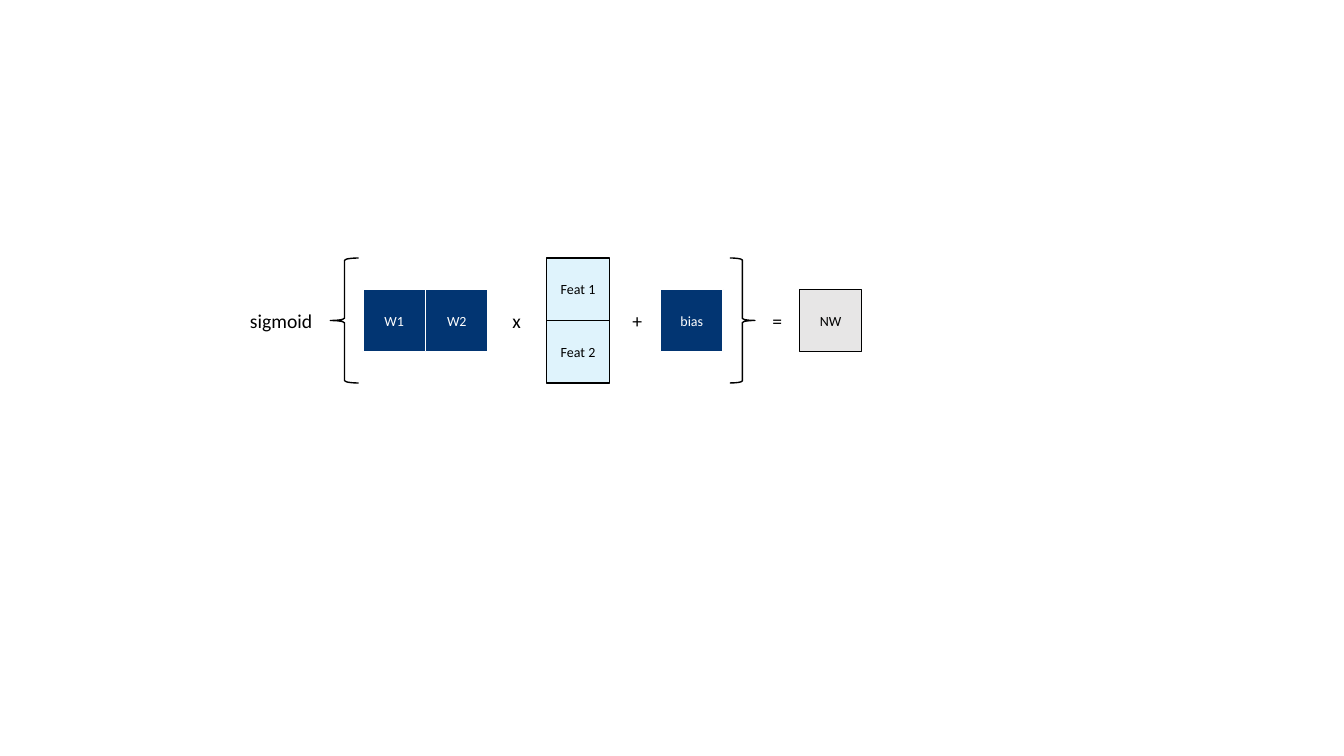
from dataclasses import dataclass

from pptx import Presentation
from pptx.dml.color import RGBColor
from pptx.enum.shapes import MSO_SHAPE
from pptx.enum.text import MSO_ANCHOR, MSO_AUTO_SIZE, PP_ALIGN
from pptx.shapes.autoshape import Shape
from pptx.slide import Slide
from pptx.util import Inches, Pt

BLACK = RGBColor(0x00, 0x00, 0x00)
WHITE = RGBColor(0xFF, 0xFF, 0xFF)
NAVY = RGBColor(0x02, 0x35, 0x72)
PALE_BLUE = RGBColor(0xDF, 0xF3, 0xFC)
GREY = RGBColor(0xE7, 0xE6, 0xE6)

FONT = "Calibri"
CELL = 0.62
ORIGIN_LEFT, MIDDLE = 3.6, 3.18
LABEL_ROWS = 0.55
BRACE_ROWS = 2


@dataclass(frozen=True)
class Style:
    """Colours of a matrix cell."""

    fill: RGBColor
    ink: RGBColor
    edge: RGBColor


@dataclass(frozen=True)
class Cell:
    """A matrix cell; row 0 starts at the equation's middle line."""

    text: str
    column: float
    row: float
    style: Style


@dataclass(frozen=True)
class Label:
    """An operator or function name on the middle line."""

    text: str
    column: float
    columns: float = 0.5
    align: PP_ALIGN = PP_ALIGN.LEFT


@dataclass(frozen=True)
class Brace:
    """A brace centred on the middle line."""

    kind: MSO_SHAPE
    column: float
    columns: float


WEIGHT = Style(NAVY, WHITE, WHITE)
FEATURE = Style(PALE_BLUE, BLACK, BLACK)
RESULT = Style(GREY, BLACK, BLACK)

CELLS = (
    Cell("Feat 1", 2.94, -1, FEATURE),
    Cell("Feat 2", 2.94, 0, FEATURE),
    Cell("W1", 0, -0.5, WEIGHT),
    Cell("W2", 1, -0.5, WEIGHT),
    Cell("bias", 4.76, -0.5, WEIGHT),
    Cell("NW", 6.98, -0.5, RESULT),
)
LABELS = (
    Label("x", 2.23),
    Label("+", 4.15),
    Label("=", 6.39),
    Label("sigmoid", -2.02, 1.42, PP_ALIGN.CENTER),
)
BRACES = (
    Brace(MSO_SHAPE.RIGHT_BRACE, 5.87, 0.4),
    Brace(MSO_SHAPE.LEFT_BRACE, -0.52, 0.45),
)


def place(column: float, row: float, columns: float, rows: float) -> tuple[int, ...]:
    """Turn grid units into left, top, width and height."""
    lengths = (ORIGIN_LEFT + column * CELL, MIDDLE + row * CELL, columns * CELL, rows * CELL)
    return tuple(Inches(length) for length in lengths)


def write(box: Shape, text: str, size: int, colour: RGBColor, align: PP_ALIGN) -> None:
    """Fill a box with one formatted paragraph."""
    frame = box.text_frame
    frame.text = text
    frame.word_wrap = True
    para = frame.paragraphs[0]
    para.alignment = align
    span = para.runs[0]
    span.font.name = FONT
    span.font.size = Pt(size)
    span.font.color.rgb = colour


def outline(box: Shape, colour: RGBColor) -> None:
    """Give a shape a plain thin line."""
    box.shadow.inherit = False
    box.line.color.rgb = colour
    box.line.width = Pt(1)


def draw_cell(page: Slide, cell: Cell) -> None:
    """Draw one matrix cell."""
    box = page.shapes.add_shape(MSO_SHAPE.RECTANGLE, *place(cell.column, cell.row, 1, 1))
    outline(box, cell.style.edge)
    box.fill.solid()
    box.fill.fore_color.rgb = cell.style.fill
    box.text_frame.vertical_anchor = MSO_ANCHOR.MIDDLE
    write(box, cell.text, 10, cell.style.ink, PP_ALIGN.CENTER)


def draw_label(page: Slide, label: Label) -> None:
    """Draw one label on the middle line."""
    box = page.shapes.add_textbox(
        *place(label.column, -0.26, label.columns, LABEL_ROWS)
    )
    write(box, label.text, 14, BLACK, label.align)
    box.text_frame.auto_size = MSO_AUTO_SIZE.SHAPE_TO_FIT_TEXT


def draw_brace(page: Slide, brace: Brace) -> None:
    """Draw one unfilled brace."""
    box = page.shapes.add_shape(
        brace.kind, *place(brace.column, -BRACE_ROWS / 2, brace.columns, BRACE_ROWS)
    )
    outline(box, BLACK)
    box.fill.background()


def main() -> None:
    """Build the equation slide."""
    deck = Presentation()
    deck.slide_width, deck.slide_height = Inches(13.33), Inches(7.5)
    page = deck.slides.add_slide(deck.slide_layouts.get_by_name("Blank"))
    for cell in CELLS:
        draw_cell(page, cell)
    for label in LABELS:
        draw_label(page, label)
    for brace in BRACES:
        draw_brace(page, brace)
    deck.save("out.pptx")


if __name__ == "__main__":
    main()
